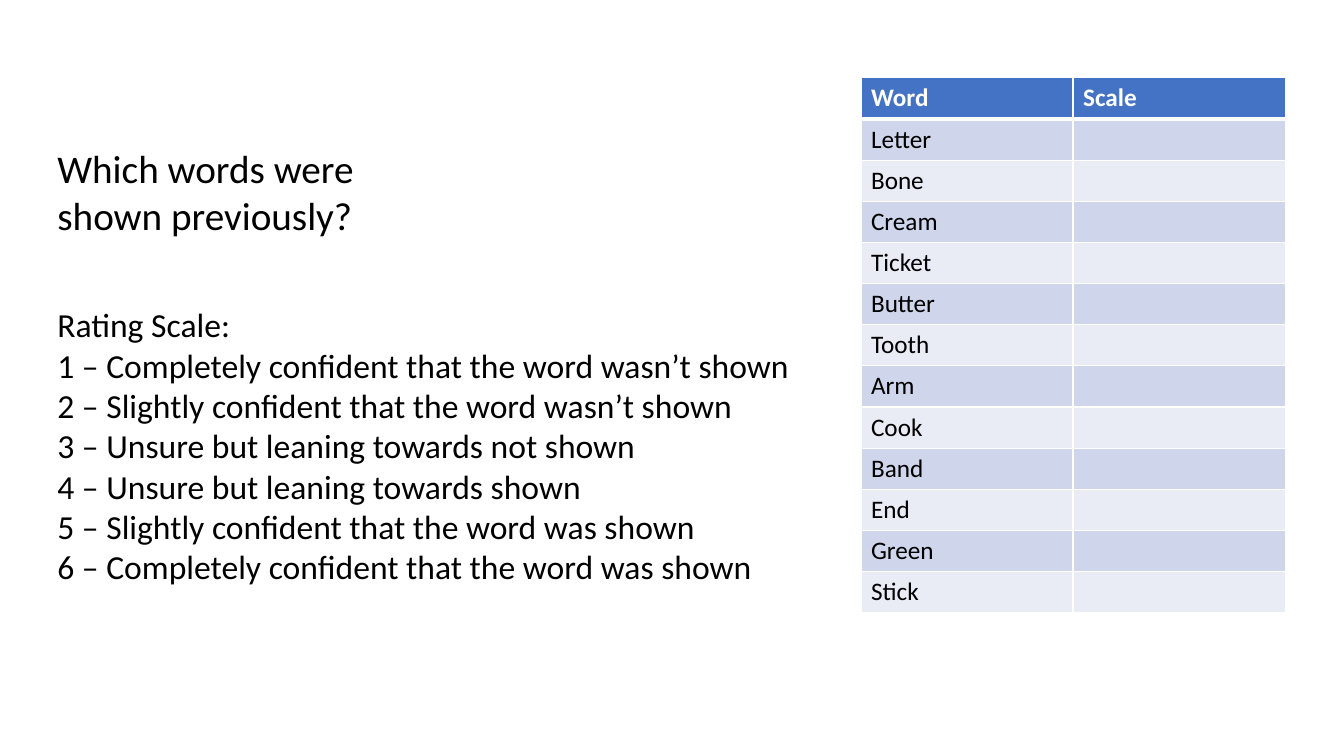
from dataclasses import dataclass
from pptx import Presentation
from pptx.dml.color import RGBColor as Rgb
from pptx.enum.text import MSO_ANCHOR as Anchor, MSO_AUTO_SIZE as Fit, PP_ALIGN as Align
from pptx.oxml.ns import qn
from pptx.util import Pt
from lxml.etree import SubElement as Sub


@dataclass(frozen=True)
class Theme:
    font: str = "Calibri"
    ink: str = "000000"
    white: str = "FFFFFF"
    head: str = "4472C4"
    bands: tuple = ("CFD5EA", "E9EBF5")
    title: int = 28
    body: int = 24
    cell: int = 18
    thin: int = 1
    thick: int = 3


LOOK = Theme()
TITLE = ["Which words were ", "shown previously?"]
SCALE = [
    "Completely confident that the word wasn’t shown ",
    "Slightly confident that the word wasn’t shown ",
    "Unsure but leaning towards not shown ",
    "Unsure but leaning towards shown ",
    "Slightly confident that the word was shown ",
    "Completely confident that the word was shown ",
]
HEADS = ["Word", "Scale"]
WORDS = ["Letter", "Bone", "Cream", "Ticket", "Butter", "Tooth",
         "Arm", "Cook", "Band", "End", "Green", "Stick"]


def add_run(para, text, size, color, bold=False):
    run = para.add_run()
    run.text = text
    font = run.font
    font.name, font.size, font.bold = LOOK.font, Pt(size), bold
    font.color.rgb = Rgb.from_string(color)


def fill_text(holder, box, lines, size, wrap=True):
    holder.left, holder.top, holder.width, holder.height = map(Pt, box)
    frame = holder.text_frame
    frame.word_wrap = wrap
    frame.auto_size = Fit.NONE
    frame.vertical_anchor = Anchor.TOP
    for index, line in enumerate(lines):
        para = frame.add_paragraph() if index else frame.paragraphs[0]
        para.alignment = Align.LEFT
        para.line_spacing = 1.0
        para.space_before = para.space_after = Pt(0)
        props = para._p.get_or_add_pPr()
        props.set("marL", "0")
        props.set("indent", "0")
        Sub(props, qn("a:buNone"))
        add_run(para, line, size, LOOK.ink)


def add_edge(cell, side, width):
    line = Sub(cell._tc.get_or_add_tcPr(), qn("a:ln" + side), w=str(Pt(width)))
    Sub(Sub(line, qn("a:solidFill")), qn("a:srgbClr"), val=LOOK.white)


def style_cell(cell, row):
    for side in "LRTB":
        joint = (row, side) in ((0, "B"), (1, "T"))
        add_edge(cell, side, LOOK.thick if joint else LOOK.thin)
    cell.fill.solid()
    color = LOOK.bands[(row - 1) % 2] if row else LOOK.head
    cell.fill.fore_color.rgb = Rgb.from_string(color)


def add_grid(slide, box, heads, words):
    rows = [heads] + [[word, ""] for word in words]
    left, top, width, height = box
    table = slide.shapes.add_table(len(rows), len(heads), *map(Pt, box)).table
    for col in table.columns:
        col.width = Pt(width / len(heads))
    for row, texts in enumerate(rows):
        table.rows[row].height = Pt(height / len(rows))
        for col, text in enumerate(texts):
            cell = table.cell(row, col)
            style_cell(cell, row)
            para = cell.text_frame.paragraphs[0]
            if text:
                add_run(para, text, LOOK.cell, LOOK.ink if row else LOOK.white, not row)
            else:
                para.font.size = Pt(LOOK.cell)


def add_quiz(deck):
    slide = deck.slides.add_slide(deck.slide_layouts[1])
    add_grid(slide, (615, 55.6, 303, 382.2), HEADS, WORDS)
    fill_text(slide.shapes.title, (33.8, 99.4, 311, 74.9), TITLE, LOOK.title)
    lines = ["Rating Scale: "] + [f"{rank} – {text}" for rank, text in enumerate(SCALE, 1)]
    fill_text(slide.placeholders[1], (33.8, 213.8, 547, 211), lines, LOOK.body, False)


deck = Presentation()
deck.slide_width, deck.slide_height = Pt(960), Pt(540)
add_quiz(deck)
deck.save("out.pptx")
